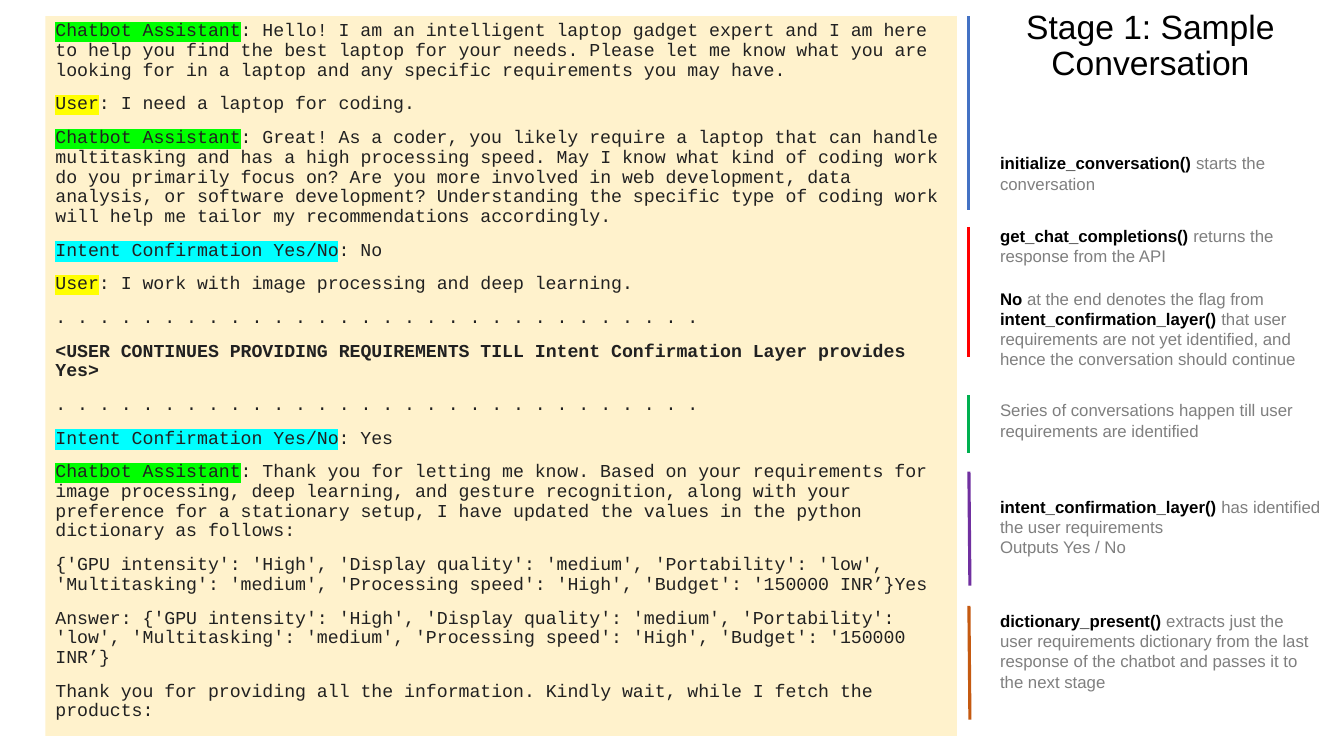
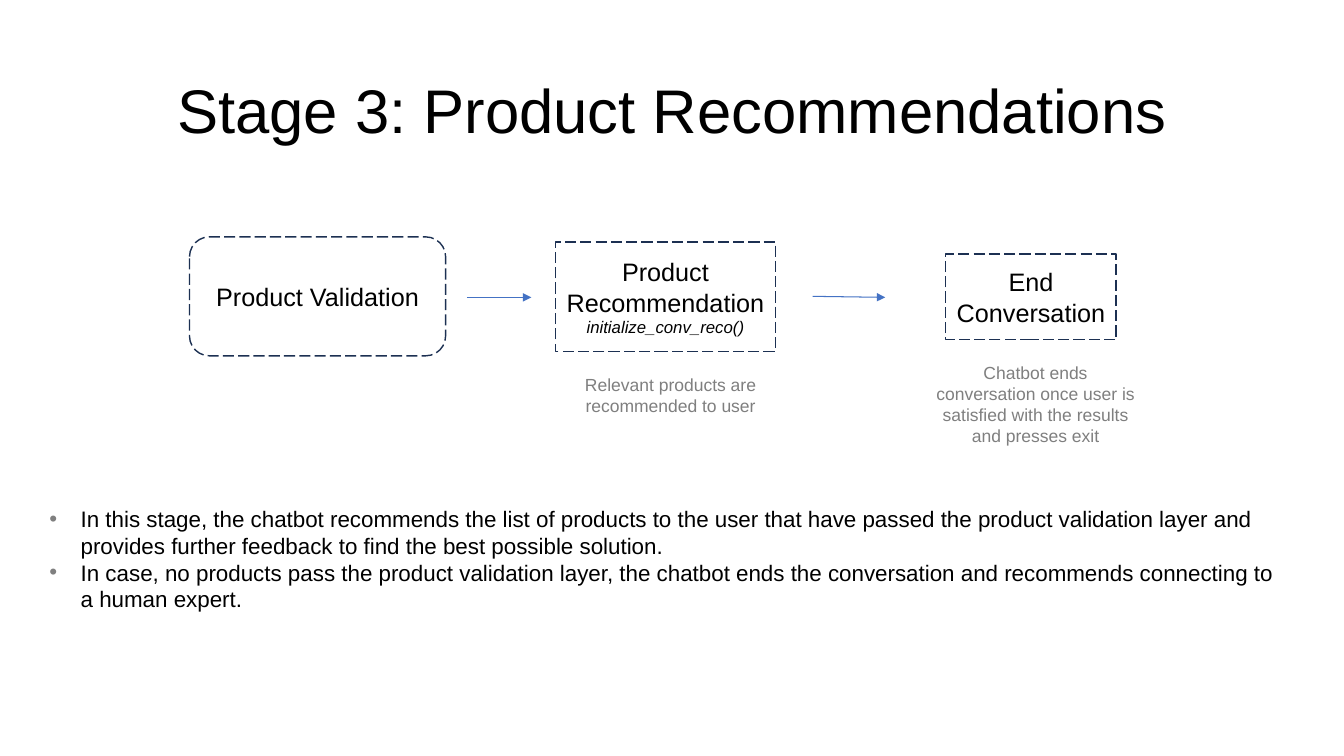
from pptx import Presentation
from pptx.dml.color import RGBColor
from pptx.enum.dml import MSO_LINE
from pptx.enum.shapes import MSO_CONNECTOR as CONNECTOR, MSO_SHAPE as SHAPE
from pptx.enum.text import MSO_ANCHOR as ANCHOR, MSO_AUTO_SIZE as AUTO_SIZE, PP_ALIGN as ALIGN
from pptx.oxml.ns import qn
from pptx.util import Inches, Pt
from lxml.etree import SubElement

# Shared look
rgb = RGBColor.from_string
BLACK, GREY, BLUE, NAVY = "000000", "7F7F7F", "4472C4", "1C3052"
CHAT = dict(font="Courier New", size=13, color="212121")
STYLES = {
    "chat": CHAT,
    "chat bold": dict(CHAT, bold=True),
    "assistant": dict(CHAT, highlight="00FF00"),
    "user": dict(CHAT, highlight="FFFF00"),
    "intent": dict(CHAT, highlight="00FFFF"),
    "code": dict(size=12, color=BLACK, bold=True),
    "note": dict(size=12, color=GREY),
    "small title": dict(size=24, color=BLACK),
    "title": dict(size=44, color=BLACK),
    "box": dict(size=18, color=BLACK),
    "box code": dict(size=12, color=BLACK, italic=True),
    "caption": dict(size=12.5, color=GREY),
    "bullet": dict(size=16, color=BLACK),
}


def write(shape, paragraphs, align=ALIGN.LEFT, anchor=ANCHOR.TOP, spacing=1.0, gap=0):
    """Fill a shape with paragraphs, each a list of (text, style name) runs."""
    frame = shape.text_frame
    frame.word_wrap = True
    frame.auto_size = AUTO_SIZE.NONE
    frame.vertical_anchor = anchor
    for index, runs in enumerate(paragraphs):
        paragraph = frame.add_paragraph() if index else frame.paragraphs[0]
        paragraph.alignment = align
        paragraph.line_spacing = spacing
        paragraph.space_before = Pt(gap if index else 0)
        for text, style_name in runs:
            style = STYLES[style_name]
            run = paragraph.add_run()
            run.text = text
            font = run.font
            font.name = style.get("font", "Arial")
            font.size = Pt(style["size"])
            font.bold = style.get("bold", False)
            font.italic = style.get("italic", False)
            font.color.rgb = rgb(style["color"])
            if "highlight" in style:
                properties = run._r.get_or_add_rPr()
                highlight = SubElement(properties, qn("a:highlight"))
                SubElement(highlight, qn("a:srgbClr"), val=style["highlight"])
                properties.find(qn("a:solidFill")).addnext(highlight)


def place(shape, left, top, width, height):
    shape.left, shape.top = Inches(left), Inches(top)
    shape.width, shape.height = Inches(width), Inches(height)


presentation = Presentation()
presentation.slide_width, presentation.slide_height = Inches(13.33), Inches(7.5)
layout = presentation.slide_layouts[1]
conversation_slide = presentation.slides.add_slide(layout)
products_slide = presentation.slides.add_slide(layout)

# Titles
for slide, text, style_name, box in [
    (conversation_slide, "Stage 1: Sample Conversation", "small title", (9.82, 0.02, 3.18, 0.89)),
    (products_slide, "Stage 3: Product Recommendations", "title", (0.92, 0.4, 11.5, 1.45)),
]:
    title = slide.shapes.title
    place(title, *box)
    write(title, [[(text, style_name)]], ALIGN.CENTER, ANCHOR.MIDDLE, spacing=0.9)

# Stage 1: transcript
assistant = ("Chatbot Assistant", "assistant")
user = ("User", "user")
intent = ("Intent Confirmation Yes/No", "intent")
dots = [(" ".join("." * 30), "chat")]
requirements = ("{'GPU intensity': 'High', 'Display quality': 'medium', 'Portability': 'low', "
                "'Multitasking': 'medium', 'Processing speed': 'High', 'Budget': '150000 INR’}")
transcript = conversation_slide.placeholders[1]
place(transcript, 0.45, 0.16, 9.04, 7.14)
transcript.fill.solid()
transcript.fill.fore_color.rgb = rgb("FFF2CC")
write(transcript, [
    [assistant, (": Hello! I am an intelligent laptop gadget expert and I am here to help you find "
                 "the best laptop for your needs. Please let me know what you are looking for in a "
                 "laptop and any specific requirements you may have.", "chat")],
    [user, (": I need a laptop for coding.", "chat")],
    [assistant, (": Great! As a coder, you likely require a laptop that can handle multitasking and "
                 "has a high processing speed. May I know what kind of coding work do you primarily "
                 "focus on? Are you more involved in web development, data analysis, or software "
                 "development? Understanding the specific type of coding work will help me tailor "
                 "my recommendations accordingly.", "chat")],
    [intent, (": No", "chat")],
    [user, (": I work with image processing and deep learning.", "chat")],
    dots,
    [("<USER CONTINUES PROVIDING REQUIREMENTS TILL Intent Confirmation Layer provides Yes>",
      "chat bold")],
    dots,
    [intent, (": Yes", "chat")],
    [assistant, (": Thank you for letting me know. Based on your requirements for image processing, "
                 "deep learning, and gesture recognition, along with your preference for a "
                 "stationary setup, I have updated the values in the python dictionary as follows:",
                 "chat")],
    [(requirements + "Yes", "chat")],
    [("Answer: " + requirements, "chat")],
    [("Thank you for providing all the information. Kindly wait, while I fetch the products:",
      "chat")],
], spacing=0.9, gap=10)
for paragraph in transcript.text_frame.paragraphs:
    properties = paragraph._p.get_or_add_pPr()
    properties.set("marL", "0")
    properties.set("indent", "0")
    SubElement(properties, qn("a:buNone"))

# Stage 1: side notes
for top, height, gap, paragraphs in [
    (1.47, 0.5, 0, [[("initialize_conversation() ", "code"), ("starts the conversation", "note")]]),
    (2.19, 1.55, 16, [
        [("get_chat_completions() ", "code"), ("returns the response from the API", "note")],
        [("No", "code"), (" at the end denotes the flag from ", "note"),
         ("intent_confirmation_layer() ", "code"),
         ("that user requirements are not yet identified, and hence the conversation should "
          "continue", "note")]]),
    (3.92, 0.5, 0, [[("Series of conversations happen till user requirements are identified",
                      "note")]]),
    (4.88, 0.71, 0, [
        [("intent_confirmation_layer() ", "code"),
         ("has identified the user requirements", "note")],
        [("Outputs Yes / No", "note")]]),
    (6.01, 0.91, 0, [
        [("dictionary_present() ", "code"),
         ("extracts just the user requirements dictionary from the last response of the chatbot "
          "and passes it to the next stage", "note")]]),
]:
    note = conversation_slide.shapes.add_textbox(
        Inches(9.82), Inches(top), Inches(3.38), Inches(height))
    write(note, paragraphs, gap=gap)

# Stage 3: flow boxes
for kind, box, paragraphs in [
    (SHAPE.ROUNDED_RECTANGLE, (1.88, 2.35, 2.54, 1.18), [[("Product Validation", "box")]]),
    (SHAPE.RECTANGLE, (5.51, 2.4, 2.18, 1.09),
     [[("Product Recommendation", "box")], [("initialize_conv_reco()", "box code")]]),
    (SHAPE.RECTANGLE, (9.38, 2.52, 1.69, 0.85), [[("End", "box")], [("Conversation", "box")]]),
]:
    step = products_slide.shapes.add_shape(kind, *map(Inches, box))
    step.shadow.inherit = False
    step.fill.background()
    step.line.color.rgb = rgb(NAVY)
    step.line.width = Pt(1)
    step.line.dash_style = MSO_LINE.LONG_DASH
    write(step, paragraphs, ALIGN.CENTER, ANCHOR.MIDDLE)

# Stage 3: captions
for left, top, height, text in [
    (5.56, 3.66, 0.52, "Relevant products are recommended to user"),
    (9.18, 3.54, 1.15, "Chatbot ends conversation once user is satisfied with the results and "
                       "presses exit"),
]:
    caption = products_slide.shapes.add_textbox(
        Inches(left), Inches(top), Inches(2.18), Inches(height))
    write(caption, [[(text, "caption")]], ALIGN.CENTER)

# Stage 3: bullet list
bullets = products_slide.placeholders[1]
place(bullets, 0.39, 4.96, 12.36, 1.18)
write(bullets, [
    [("In this stage, the chatbot recommends the list of products to the user that have passed the "
      "product validation layer and provides further feedback to find the best possible solution.",
      "bullet")],
    [("In case, no products pass the product validation layer, the chatbot ends the conversation "
      "and recommends connecting to a human expert.", "bullet")],
])
for paragraph in bullets.text_frame.paragraphs:
    properties = paragraph._p.get_or_add_pPr()
    properties.set("marL", str(Inches(0.31)))
    properties.set("indent", str(-Inches(0.31)))
    bullet_color = SubElement(properties, qn("a:buClr"))
    SubElement(bullet_color, qn("a:srgbClr"), val=GREY)
    SubElement(properties, qn("a:buFont"), typeface="Arial")
    SubElement(properties, qn("a:buChar"), char="•")

# Side rules of stage 1 and arrows of stage 3
for slide, ends, color, width, has_arrow in [
    (conversation_slide, (9.61, 0.16, 9.61, 2.08), BLUE, 2.25, False),
    (conversation_slide, (9.61, 2.25, 9.61, 3.54), "FF0000", 2.25, False),
    (conversation_slide, (9.61, 3.92, 9.61, 4.49), "00B050", 2.25, False),
    (conversation_slide, (9.61, 4.68, 9.62, 5.81), "7030A0", 2.25, False),
    (conversation_slide, (9.61, 6.01, 9.62, 7.14), "C55A11", 2.25, False),
    (products_slide, (4.63, 2.95, 5.27, 2.95), BLUE, 0.75, True),
    (products_slide, (8.06, 2.94, 8.78, 2.95), BLUE, 0.75, True),
]:
    connector = slide.shapes.add_connector(CONNECTOR.STRAIGHT, *map(Inches, ends))
    connector.line.color.rgb = rgb(color)
    connector.line.width = Pt(width)
    if has_arrow:
        SubElement(connector.line._get_or_add_ln(), qn("a:tailEnd"), type="triangle")
    SubElement(connector._element.spPr, qn("a:effectLst"))

presentation.save("out.pptx")
